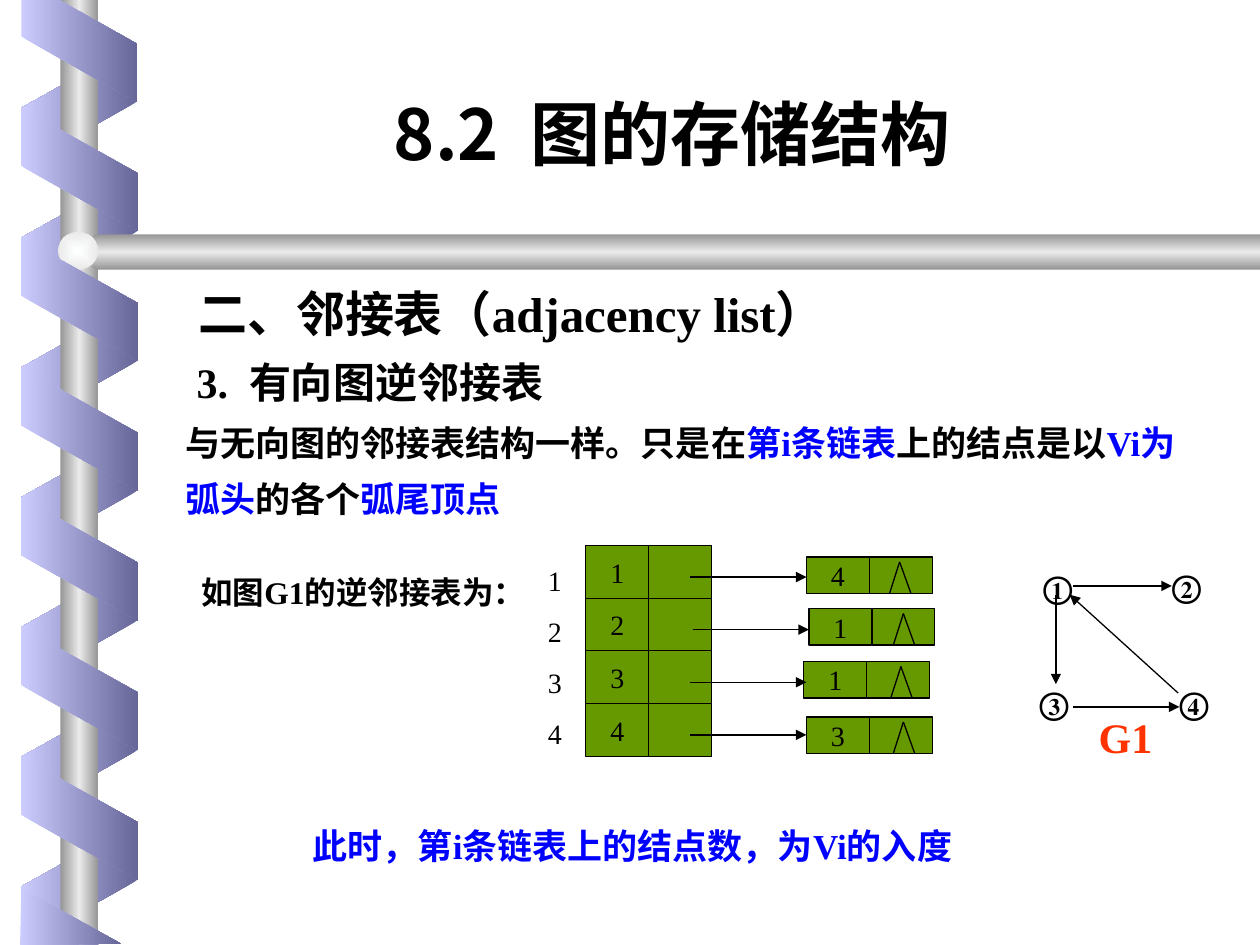
from dataclasses import dataclass
from typing import NamedTuple
from lxml.etree import SubElement as Sub
from pptx import Presentation as Deck
from pptx.dml.color import RGBColor as Rgb
from pptx.enum.shapes import MSO_CONNECTOR as Wire, MSO_SHAPE as Kind
from pptx.enum.text import MSO_ANCHOR as Anchor, MSO_AUTO_SIZE as Fit, PP_ALIGN as Align
from pptx.oxml.ns import qn
from pptx.util import Inches, Pt


@dataclass(frozen=True)
class Theme:
    black: str = "000000"
    blue: str = "0000FF"
    red: str = "FF3300"
    green: str = "669900"
    light: str = "CCCCFF"
    dark: str = "666699"
    steel: tuple = ("969696", "EAEAEA", "969696")
    pearl: tuple = ("FEFFFF", "EAEAEA")
    latin: str = "Times New Roman"
    asian: str = "Noto Sans CJK SC"
    title: int = 40
    head: int = 28
    sub: int = 24
    body: int = 20
    note: int = 18
    cell: int = 16
    thin: float = 0.75


T = Theme()


class Box(NamedTuple):
    x: float
    y: float
    w: float
    h: float


class Run(NamedTuple):
    text: str
    size: int
    color: str = T.black
    bold: bool = True
    font: str = T.latin


class Label(NamedTuple):
    box: Box
    lines: list
    before: float = 0
    pad: bool = False
    wrap: bool = True
    mid: bool = False
    align: Align = Align.LEFT
    pitch: float = 1.0


class Node(NamedTuple):
    key: str
    x: float
    y: float
    end: float
    peak: float


class Edge(NamedTuple):
    x1: float
    y1: float
    x2: float
    y2: float
    width: float = T.thin
    arrow: bool = True


def place(box: Box) -> list:
    return [Inches(v) for v in box]


def blend(shape, colors: tuple, angle: int = 0, radial: bool = False) -> None:
    shape.shadow.inherit = False
    shape.line.fill.background()
    shape.fill.gradient()
    grad = shape._element.spPr.find(qn("a:gradFill"))
    grad.set("rotWithShape", "0")
    for child in list(grad):
        grad.remove(child)
    stops = Sub(grad, qn("a:gsLst"))
    for i, color in enumerate(colors):
        stop = Sub(stops, qn("a:gs"), pos=str(100000 * i // (len(colors) - 1)))
        Sub(stop, qn("a:srgbClr"), val=color)
    if radial:
        way = Sub(grad, qn("a:path"), path="rect")
        Sub(way, qn("a:fillToRect"), **{side: "50000" for side in "ltrb"})
    else:
        Sub(grad, qn("a:lin"), ang=str(angle * 60000), scaled="1")


def band(page, top: float, front: bool) -> None:
    box = Box(0.14, top, 0.98, 0.93 if front else 0.92)
    shape = page.shapes.add_shape(Kind.PARALLELOGRAM, *place(box))
    shape.adjustments[0] = 0.56
    shape.rotation = 270 if front else 90
    if not front:
        shape._element.spPr.find(qn("a:xfrm")).set("flipH", "1")
    blend(shape, (T.light, T.dark) if front else (T.dark, T.light))


def outline(page, points: list, colors: tuple, angle: int = 0) -> None:
    spots = [(Inches(x), Inches(y)) for x, y in points]
    path = page.shapes.build_freeform(*spots[0])
    path.add_line_segments(spots[1:], close=True)
    blend(path.convert_to_shape(), colors, angle)


def spiral(page) -> None:
    for i in range(7):
        band(page, 0.37 + 1.03 * i, False)
    post = page.shapes.add_shape(Kind.RECTANGLE, *place(Box(0.48, 0, 0.3, 7.5)))
    blend(post, T.steel)
    outline(page, [(10, 1.86), (0.76, 1.86), (0.6, 2), (0.76, 2.14), (10, 2.14)], T.steel, 90)
    ball = page.shapes.add_shape(Kind.OVAL, *place(Box(0.46, 1.84, 0.32, 0.3)))
    blend(ball, T.pearl, radial=True)
    for i in range(6):
        band(page, 0.88 + 1.03 * i, True)
    fade = (T.light, T.dark)
    outline(page, [(0.17, 0), (0.17, 0.29), (1.09, 0.81), (1.09, 0.35), (0.47, 0)], fade)
    outline(page, [(0.96, 7.49), (0.17, 7.05), (0.16, 7.5)], fade)


def write(para, run: Run) -> None:
    item = para.add_run()
    item.text = run.text
    font = item.font
    font.size, font.bold, font.name = Pt(run.size), run.bold, run.font
    font.color.rgb = Rgb.from_string(run.color)
    Sub(item._r.get_or_add_rPr(), qn("a:ea"), typeface=T.asian)


def label(page, spec: Label) -> None:
    frame = page.shapes.add_textbox(*place(spec.box)).text_frame
    frame.word_wrap = spec.wrap
    frame.auto_size = Fit.SHAPE_TO_FIT_TEXT
    frame.vertical_anchor = Anchor.MIDDLE if spec.mid else Anchor.TOP
    if not spec.pad:
        frame.margin_left = frame.margin_right = 0
        frame.margin_top = frame.margin_bottom = 0
    for i, runs in enumerate(spec.lines):
        para = frame.add_paragraph() if i else frame.paragraphs[0]
        para.alignment, para.line_spacing = spec.align, spec.pitch
        para.space_before = Pt(spec.before)
        for run in runs:
            write(para, run)


def cell(page, box: Box, key: str = "") -> None:
    shape = page.shapes.add_shape(Kind.RECTANGLE, *place(box))
    shape.shadow.inherit = False
    shape.fill.solid()
    shape.fill.fore_color.rgb = Rgb.from_string(T.green)
    shape.line.color.rgb = Rgb.from_string(T.black)
    shape.line.width = Pt(T.thin)
    if key:
        frame = shape.text_frame
        frame.word_wrap, frame.vertical_anchor = False, Anchor.MIDDLE
        frame.paragraphs[0].alignment = Align.CENTER
        write(frame.paragraphs[0], Run(key, T.cell, bold=False))


def pair(page, x: float, y: float, high: float, key: str) -> None:
    cell(page, Box(x, y, 0.5, high), key)
    cell(page, Box(x + 0.5, y, 0.5, high))


def draw(page, edge: Edge) -> None:
    wire = page.shapes.add_connector(Wire.STRAIGHT, *[Inches(v) for v in edge[:4]])
    wire.line.color.rgb = Rgb.from_string(T.black)
    wire.line.width = Pt(edge.width)
    if edge.arrow:
        Sub(wire.line._get_or_add_ln(), qn("a:tailEnd"), type="triangle")
    Sub(wire._element.spPr, qn("a:effectLst"))


NODES = [Node("4", 6.4, 4.42, 6.4, 7.14), Node("1", 6.42, 4.83, 6.42, 7.17),
         Node("1", 6.38, 5.25, 6.4, 7.15), Node("3", 6.4, 5.69, 6.4, 7.17)]
EDGES = [Edge(8.52, 4.65, 9.3, 4.65, 1), Edge(8.38, 4.72, 8.38, 5.43),
         Edge(9.35, 5.5, 8.49, 4.72), Edge(8.52, 5.61, 9.36, 5.61, 1.5)]
DOTS = [("①", 8.28, 4.51), ("②", 9.3, 4.5), ("③", 8.25, 5.43)]
LABELS = [
    Label(Box(2.42, 0.67, 5.83, 0.77), [[Run("8.2  图的存储结构", T.title, font=T.asian)]],
          25, pad=True, align=Align.CENTER),
    Label(Box(1.48, 2.25, 5.16, 0.47), [[Run("二、邻接表（adjacency list）", T.head)]],
          17.5, wrap=False, mid=True, align=Align.CENTER),
    Label(Box(1.56, 2.83, 2.83, 0.4), [[Run("3.  有向图逆邻接表", T.sub)]], wrap=False, mid=True),
    Label(Box(1.47, 3.41, 8.14, 0.71), [
        [Run("与无向图的邻接表结构一样。只是在", T.body), Run("第i条链表", T.body, T.blue),
         Run("上的结点是以", T.body), Run("Vi为", T.body, T.blue)],
        [Run("弧头", T.body, T.blue), Run("的各个", T.body), Run("弧尾顶点", T.body, T.blue)],
    ], 12.5, wrap=False, mid=True, pitch=0.8),
    Label(Box(4.25, 4.42, 0.42, 1.59), [[Run(n, T.cell, bold=False)] for n in "1234"], 10, pad=True),
    Label(Box(2.48, 6.61, 5.35, 0.27), [[Run("此时，第i条链表上的结点数，为Vi的入度", T.body, T.blue)]],
          12.5, wrap=False, mid=True, pitch=0.8),
    Label(Box(1.5, 4.5, 3.08, 0.4), [[Run("如图G1的逆邻接表为：", T.note)]], 11.2, pad=True),
    Label(Box(8.72, 5.65, 0.47, 0.4), [[Run("G1", T.sub, T.red)]], 15),
    *[Label(Box(x, y, 0.24, 0.3), [[Run(mark, T.note)]], 11.2) for mark, x, y in DOTS],
    Label(Box(9.36, 5.43, 0.23, 0.3), [[Run("④", T.note)]], wrap=False),
]


def main() -> None:
    deck = Deck()
    deck.slide_width, deck.slide_height = Inches(10), Inches(7.5)
    page = deck.slides.add_slide(deck.slide_layouts[6])
    spiral(page)
    for i, node in enumerate(NODES):
        pair(page, 4.65, 4.33 + 1.67 / 4 * i, 0.42, str(i + 1))
        pair(page, node.x, node.y, 0.29, node.key)
        y = 4.58 + 1.67 / 4 * i
        draw(page, Edge(node.end - 0.92, y, node.end, y))
        for side in (-0.08, 0.09):
            draw(page, Edge(node.peak, node.y + 0.04, node.peak + side, node.y + 0.29, arrow=False))
    for spec in LABELS:
        label(page, spec)
    for edge in EDGES:
        draw(page, edge)
    deck.save("out.pptx")


if __name__ == "__main__":
    main()
